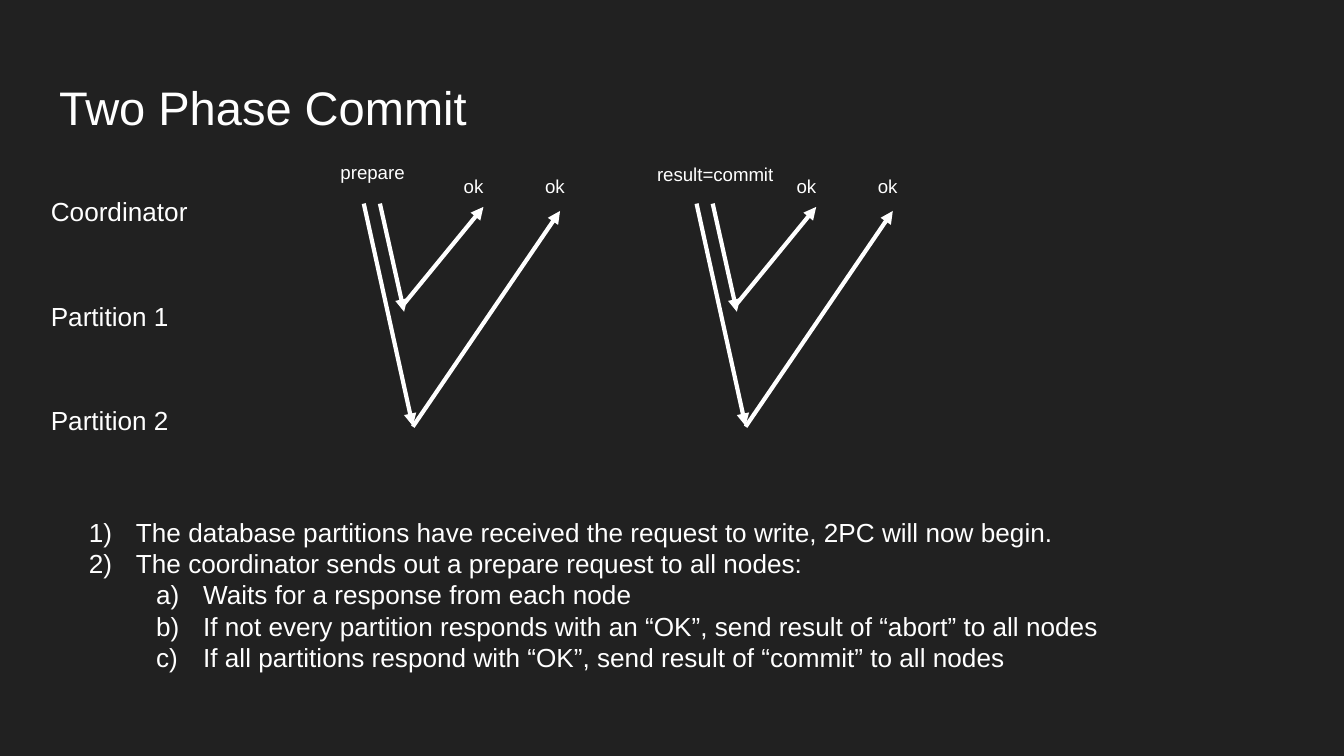
"""Build the Two Phase Commit slide on a grid of 100 columns by 56.25 rows."""
from dataclasses import dataclass

import pptx
import pptx.dml.color
import pptx.enum.shapes
import pptx.enum.text
import pptx.oxml
import pptx.oxml.ns
import pptx.util

WHITE = pptx.dml.color.RGBColor(0xFF, 0xFF, 0xFF)
CHARCOAL = pptx.dml.color.RGBColor(0x21, 0x21, 0x21)
FONT = "Arial"
WIDTH = pptx.util.Inches(10)
HEIGHT = WIDTH * 9 // 16
COLUMN = WIDTH / 100
ROW = HEIGHT / 56.25
NAMESPACE = pptx.oxml.ns.nsdecls("a")


@dataclass(frozen=True)
class Box:
    left: float
    top: float
    width: float
    height: float


@dataclass(frozen=True)
class Message:
    start_column: float
    start_row: float
    end_column: float
    end_row: float


@dataclass(frozen=True)
class Phase:
    left: float
    request: str
    request_left: float
    request_top: float


@dataclass(frozen=True)
class Step:
    text: str
    level: int = 0


PARTICIPANTS = ("Coordinator", "Partition 1", "Partition 2")
PHASES = (
    Phase(27.07, "prepare", 24.35, 11.1),
    Phase(51.83, "result=commit", 47.9, 11.3),
)
MESSAGES = (
    Message(0, 15.15, 3.65, 31.7),
    Message(1.2, 15.15, 3, 23.2),
    Message(3, 22.6, 8.9, 15.4),
    Message(3.65, 31.75, 14.6, 15.7),
)
REPLY_OFFSETS = (6.45, 12.5)
NUMBERING = ("arabicParenR", "alphaLcParenR")
STEPS = (
    Step("The database partitions have received the request to write, 2PC will now begin."),
    Step("The coordinator sends out a prepare request to all nodes:"),
    Step("Waits for a response from each node", 1),
    Step("If not every partition responds with an “OK”, send result of “abort” to all nodes", 1),
    Step("If all partitions respond with “OK”, send result of “commit” to all nodes", 1),
)


def columns(count: float) -> int:
    """Return the length of a number of columns."""
    return round(count * COLUMN)


def rows(count: float) -> int:
    """Return the length of a number of rows."""
    return round(count * ROW)


def place(shape, box: Box) -> None:
    """Move a shape to its place on the grid."""
    shape.left, shape.top = columns(box.left), rows(box.top)
    shape.width, shape.height = columns(box.width), rows(box.height)


def format_text(frame, size: float) -> None:
    """Give a text frame its margins, wrapping and font."""
    frame.word_wrap = True
    frame.auto_size = pptx.enum.text.MSO_AUTO_SIZE.SHAPE_TO_FIT_TEXT
    frame.margin_left = frame.margin_right = columns(1)
    frame.margin_top = frame.margin_bottom = rows(1)
    for paragraph in frame.paragraphs:
        paragraph.alignment = pptx.enum.text.PP_ALIGN.LEFT
        for run in paragraph.runs:
            run.font.name = FONT
            run.font.size = pptx.util.Pt(size)
            run.font.color.rgb = WHITE


def add_title(slide, text: str) -> None:
    """Fill and format the title placeholder."""
    title = slide.shapes.title
    place(title, Box(3.4, 4.87, 93.2, 6.3))
    title.text_frame.text = text
    format_text(title.text_frame, 25.2)
    title.text_frame.auto_size = pptx.enum.text.MSO_AUTO_SIZE.NONE
    title.text_frame.vertical_anchor = pptx.enum.text.MSO_ANCHOR.TOP


def add_label(slide, text: str, box: Box, size: float) -> None:
    """Add a line of text."""
    label = slide.shapes.add_textbox(0, 0, 0, 0)
    place(label, box)
    label.text_frame.text = text
    format_text(label.text_frame, size)


def add_message(slide, message: Message, left: float) -> None:
    """Draw a message as an arrow, shifted to its phase."""
    arrow = slide.shapes.add_connector(
        pptx.enum.shapes.MSO_CONNECTOR.STRAIGHT,
        columns(left + message.start_column), rows(message.start_row),
        columns(left + message.end_column), rows(message.end_row),
    )
    arrow.line.color.rgb = WHITE
    arrow.line.width = pptx.util.Pt(2.25)
    arrow.line._get_or_add_ln().append(
        pptx.oxml.parse_xml(f'<a:tailEnd {NAMESPACE} type="triangle"/>'))
    arrow._element.spPr.append(pptx.oxml.parse_xml(f"<a:effectLst {NAMESPACE}/>"))


def add_phase(slide, phase: Phase) -> None:
    """Draw the messages of one phase with their labels."""
    for message in MESSAGES:
        add_message(slide, message, phase.left)
    request_box = Box(phase.request_left, phase.request_top, 12.1, 3.7)
    add_label(slide, phase.request, request_box, 10)
    for offset in REPLY_OFFSETS:
        add_label(slide, "ok", Box(phase.left + offset, 12.2, 12.1, 3.7), 10)


def add_steps(slide, steps: tuple[Step, ...]) -> None:
    """Add the numbered steps of the protocol."""
    outline = slide.shapes.add_textbox(0, 0, 0, 0)
    place(outline, Box(4.13, 37.4, 92.5, 13.8))
    frame = outline.text_frame
    frame.text = "\n".join(step.text for step in steps)
    for paragraph, step in zip(frame.paragraphs, steps):
        paragraph.level = step.level
        properties = paragraph._p.get_or_add_pPr()
        properties.set("marL", str(columns(5 * (step.level + 1))))
        properties.set("indent", str(columns(-3.5)))
        properties.append(pptx.oxml.parse_xml(
            f'<a:buClr {NAMESPACE}><a:srgbClr val="{WHITE}"/></a:buClr>'))
        properties.append(pptx.oxml.parse_xml(
            f'<a:buAutoNum {NAMESPACE} type="{NUMBERING[step.level]}"/>'))
    format_text(frame, 14)


def main() -> None:
    """Build and save the slide."""
    presentation = pptx.Presentation()
    presentation.slide_width, presentation.slide_height = WIDTH, HEIGHT
    slide = presentation.slides.add_slide(presentation.slide_layouts[5])
    slide.background.fill.solid()
    slide.background.fill.fore_color.rgb = CHARCOAL
    add_title(slide, "Two Phase Commit")
    for index, participant in enumerate(PARTICIPANTS):
        add_label(slide, participant, Box(2.8, 13.52 + 7.8 * index, 14, 4.4), 14)
    for phase in PHASES:
        add_phase(slide, phase)
    add_steps(slide, STEPS)
    presentation.save("out.pptx")


if __name__ == "__main__":
    main()
